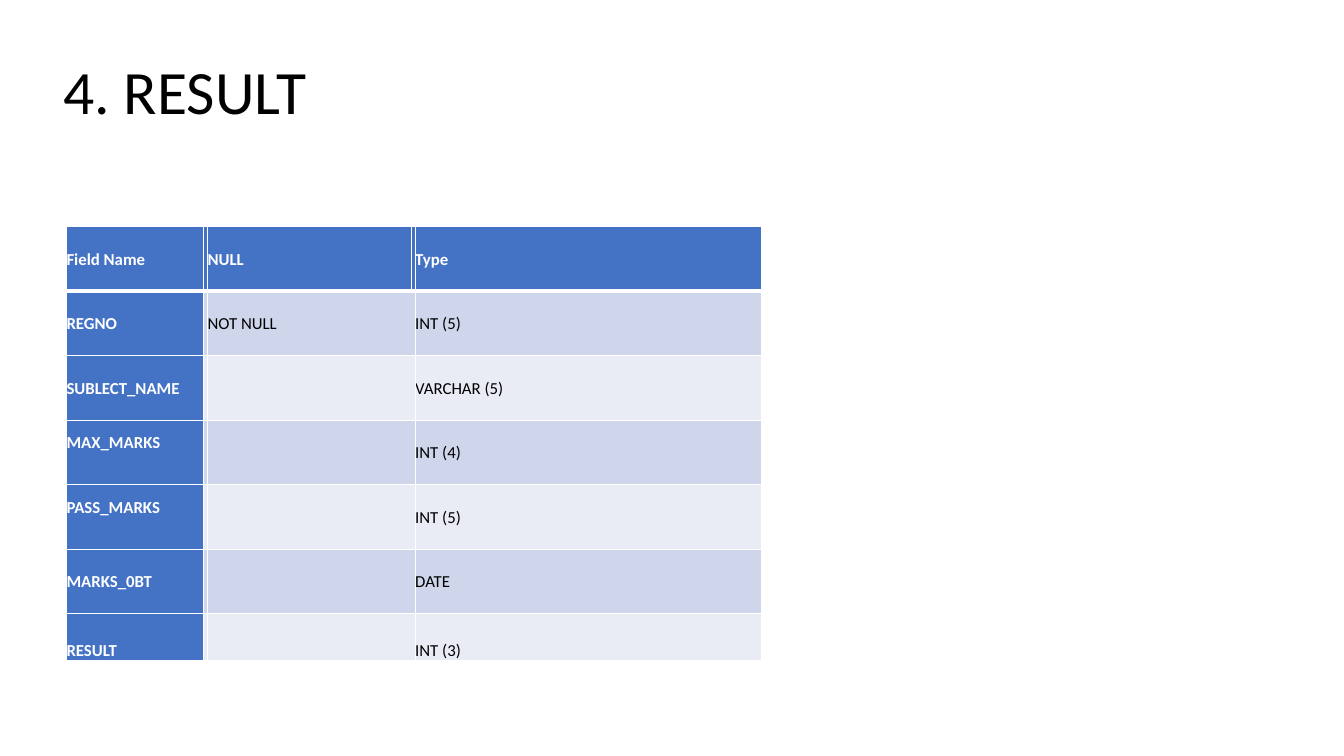
from lxml import etree
from pptx import Presentation
from pptx.dml.color import RGBColor
from pptx.enum.text import MSO_ANCHOR
from pptx.oxml.ns import qn
from pptx.util import Inches, Pt

MIDDLE, BOTTOM = MSO_ANCHOR.MIDDLE, MSO_ANCHOR.BOTTOM

THEME = {
    "font": "Calibri",
    "title_size": 44,
    "cell_size": 12,
    "dark": "000000",
    "light": "FFFFFF",
    "accent": "4472C4",
    "bands": ("CFD5EA", "E9EBF5"),
}

COLUMN_WIDTHS = (1.36, 0.03, 2.02, 0.03, 3.44)
ROW_HEIGHTS = (0.64,) * 6 + (0.47,)
FIELDS = (
    ("Field Name", "NULL", "Type"),
    ("REGNO", "NOT NULL", "INT (5)"),
    ("SUBLECT_NAME", "", "VARCHAR (5)"),
    ("MAX_MARKS", "", "INT (4)"),
    ("PASS_MARKS", "", "INT (5)"),
    ("MARKS_0BT", "", "DATE"),
    ("RESULT", "", "INT (3)"),
)
RAISED_FIELDS = ("MAX_MARKS", "PASS_MARKS")


def write(paragraph, text, size, color, bold, spacing):
    paragraph.line_spacing = spacing
    span = paragraph.add_run()
    span.text = text
    span.font.color.rgb = RGBColor.from_string(color)
    for name, value in {"name": THEME["font"], "size": Pt(size), "bold": bold}.items():
        setattr(span.font, name, value)


def add_borders(cell, widths):
    properties = cell._tc.get_or_add_tcPr()
    for position, (side, width) in enumerate(widths.items()):
        line = etree.Element(qn(f"a:ln{side}"), w=str(Pt(width)))
        fill = etree.SubElement(line, qn("a:solidFill"))
        etree.SubElement(fill, qn("a:srgbClr"), val=THEME["light"])
        properties.insert(position, line)


deck = Presentation()
deck.slide_width, deck.slide_height = Inches(13.33), Inches(7.5)
page = deck.slides.add_slide(deck.slide_layouts[6])

title = page.shapes.add_textbox(Inches(0.53), Inches(0.21), Inches(11.5), Inches(1.45))
title.text_frame.word_wrap = True
title.text_frame.vertical_anchor = MIDDLE
write(title.text_frame.paragraphs[0], "4. RESULT", THEME["title_size"], THEME["dark"], False, 0.9)

table = page.shapes.add_table(
    len(ROW_HEIGHTS), len(COLUMN_WIDTHS),
    Inches(0.66), Inches(2.25), Inches(sum(COLUMN_WIDTHS)), Inches(sum(ROW_HEIGHTS)),
).table
for column, width in zip(table.columns, COLUMN_WIDTHS):
    column.width = Inches(width)
for row, height in zip(table.rows, ROW_HEIGHTS):
    row.height = Inches(height)

for row_index, (field, null, kind) in enumerate(FIELDS):
    is_header = row_index == 0
    if not is_header:
        table.cell(row_index, 2).merge(table.cell(row_index, 3))
    for column_index, text in enumerate((field, "", null, "", kind)):
        cell = table.cell(row_index, column_index)
        is_heading = is_header or column_index == 0
        format_values = {
            "margin_left": 0,
            "margin_right": 0,
            "margin_top": 0,
            "margin_bottom": Inches(0.2) if text in RAISED_FIELDS else 0,
            "vertical_anchor": BOTTOM if row_index == len(FIELDS) - 1 else MIDDLE,
        }
        for name, value in format_values.items():
            setattr(cell, name, value)
        fill_color = THEME["accent"] if is_heading else THEME["bands"][(row_index - 1) % 2]
        cell.fill.solid()
        cell.fill.fore_color.rgb = RGBColor.from_string(fill_color)
        add_borders(cell, {"L": 1, "R": 1, "T": 3 if row_index == 1 else 1, "B": 3 if is_header else 1})
        paragraph = cell.text_frame.paragraphs[0]
        paragraph.font.size = Pt(THEME["cell_size"])
        if text:
            indent = paragraph._p.get_or_add_pPr()
            indent.set("marL", str(Inches(0.01)))
            indent.set("indent", str(Inches(-0.01)))
            color = THEME["light"] if is_heading else THEME["dark"]
            write(paragraph, text, THEME["cell_size"], color, is_heading, 1.07)

deck.save("out.pptx")
